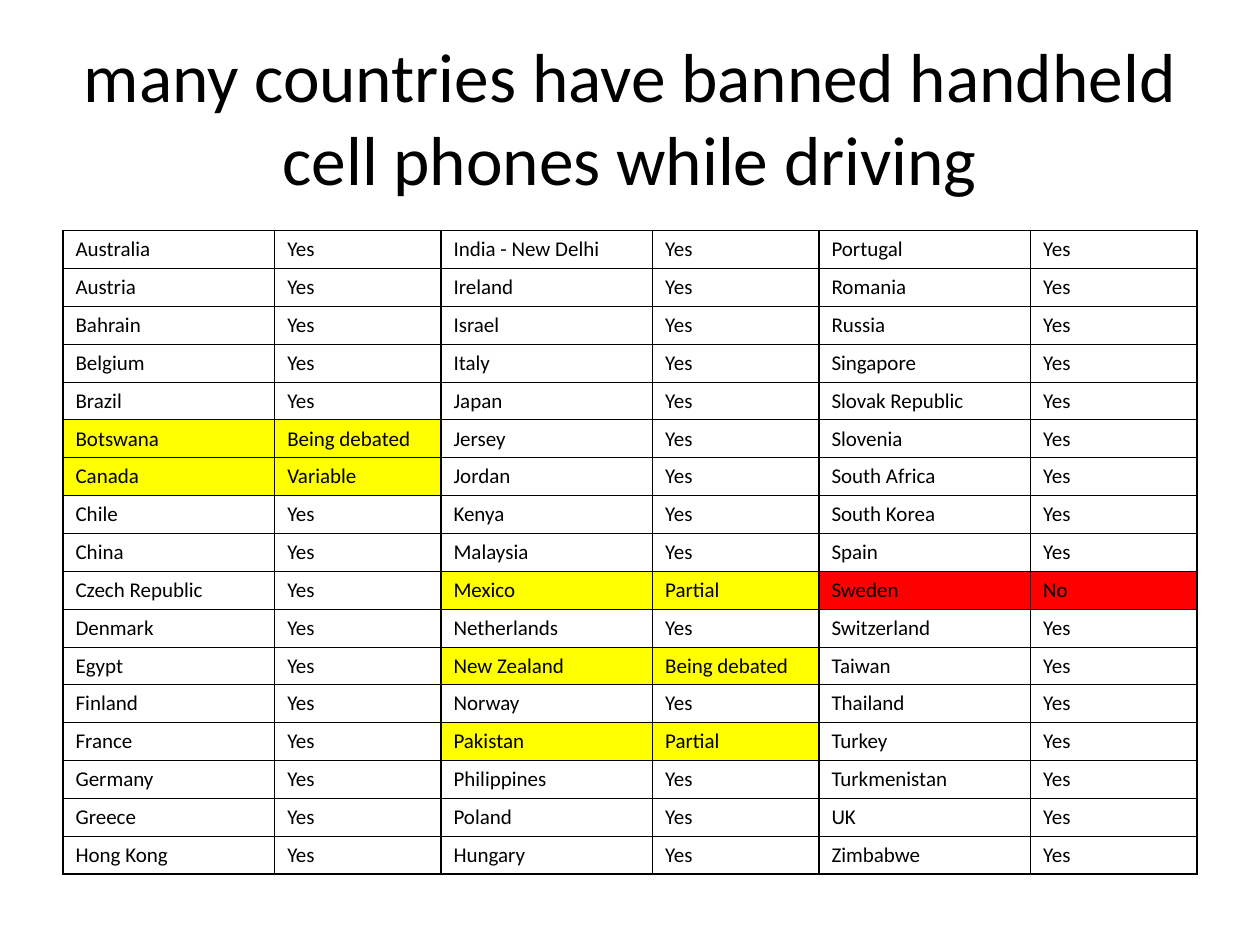
"""Build a slide listing countries and their handheld phone bans."""
import pptx
import pptx.util
import pptx.oxml
import pptx.oxml.ns
import pptx.dml.color
import pptx.enum.text

Inches = pptx.util.Inches
Pt = pptx.util.Pt
HUES = {"ink": "000000", "yellow": "FFFF00", "red": "FF0000"}
FONT = "Calibri"
TITLE = "many countries have banned handheld cell phones while driving"
LANDS = [
    ["Australia", "Austria", "Bahrain", "Belgium", "Brazil", "Botswana",
     "Canada", "Chile", "China", "Czech Republic", "Denmark", "Egypt",
     "Finland", "France", "Germany", "Greece", "Hong Kong"],
    ["India - New Delhi", "Ireland", "Israel", "Italy", "Japan", "Jersey",
     "Jordan", "Kenya", "Malaysia", "Mexico", "Netherlands", "New Zealand",
     "Norway", "Pakistan", "Philippines", "Poland", "Hungary"],
    ["Portugal", "Romania", "Russia", "Singapore", "Slovak Republic",
     "Slovenia", "South Africa", "South Korea", "Spain", "Sweden",
     "Switzerland", "Taiwan", "Thailand", "Turkey", "Turkmenistan", "UK",
     "Zimbabwe"],
]
RULES = {
    "Botswana": ("Being debated", "yellow"),
    "Canada": ("Variable", "yellow"),
    "Mexico": ("Partial", "yellow"),
    "New Zealand": ("Being debated", "yellow"),
    "Pakistan": ("Partial", "yellow"),
    "Sweden": ("No", "red"),
}
WIDTHS = [1.68, 1.32]
ROW = 0.3
THICK, THIN = 1, 0.5


def apply(item, values):
    for name, value in values.items():
        setattr(item, name, value)


def shade(name):
    return pptx.dml.color.RGBColor.from_string(HUES[name])


def write(para, text, size):
    run = para.add_run()
    run.text = text
    apply(run.font, {"name": FONT, "size": Pt(size)})
    run.font.color.rgb = shade("ink")


def add_title(slide):
    box = slide.shapes.add_textbox(Inches(0.5), Inches(0.3), Inches(9), Inches(1.25))
    frame = box.text_frame
    apply(frame, {"word_wrap": True,
                  "vertical_anchor": pptx.enum.text.MSO_ANCHOR.MIDDLE})
    para = frame.paragraphs[0]
    para.alignment = pptx.enum.text.PP_ALIGN.CENTER
    write(para, TITLE, 39.6)


def edge(cell, sides):
    props = cell._tc.get_or_add_tcPr()
    for side, width in sides.items():
        props.append(pptx.oxml.parse_xml(
            f'<a:ln{side} {pptx.oxml.ns.nsdecls("a")} w="{Pt(width)}">'
            f'<a:solidFill><a:srgbClr val="{HUES["ink"]}"/></a:solidFill>'
            f'</a:ln{side}>'))


def fill_cell(cell, text, hue, sides):
    cell.vertical_anchor = pptx.enum.text.MSO_ANCHOR.BOTTOM
    edge(cell, sides)
    if hue:
        cell.fill.solid()
        cell.fill.fore_color.rgb = shade(hue)
    else:
        cell.fill.background()
    write(cell.text_frame.paragraphs[0], text, 12)


def add_grid(slide):
    count, pairs = len(LANDS[0]), len(LANDS)
    grid = slide.shapes.add_table(
        count, pairs * 2, Inches(0.5), Inches(1.83),
        Inches(9), Inches(ROW * count)).table
    apply(grid, {"first_row": False, "horz_banding": False})
    for col, width in zip(grid.columns, WIDTHS * pairs):
        col.width = Inches(width)
    for line in grid.rows:
        line.height = Inches(ROW)
    for pair, names in enumerate(LANDS):
        for row, land in enumerate(names):
            rule, hue = RULES.get(land, ("Yes", None))
            for half, text in enumerate((land, rule)):
                sides = {"L": THIN if half else THICK,
                         "R": THICK if half else THIN,
                         "T": THIN if row else THICK,
                         "B": THICK if row == count - 1 else THIN}
                fill_cell(grid.cell(row, pair * 2 + half), text, hue, sides)


def main():
    deck = pptx.Presentation()
    apply(deck, {"slide_width": Inches(10), "slide_height": Inches(7.5)})
    slide = deck.slides.add_slide(deck.slide_layouts[6])
    add_title(slide)
    add_grid(slide)
    deck.save("out.pptx")


main()
